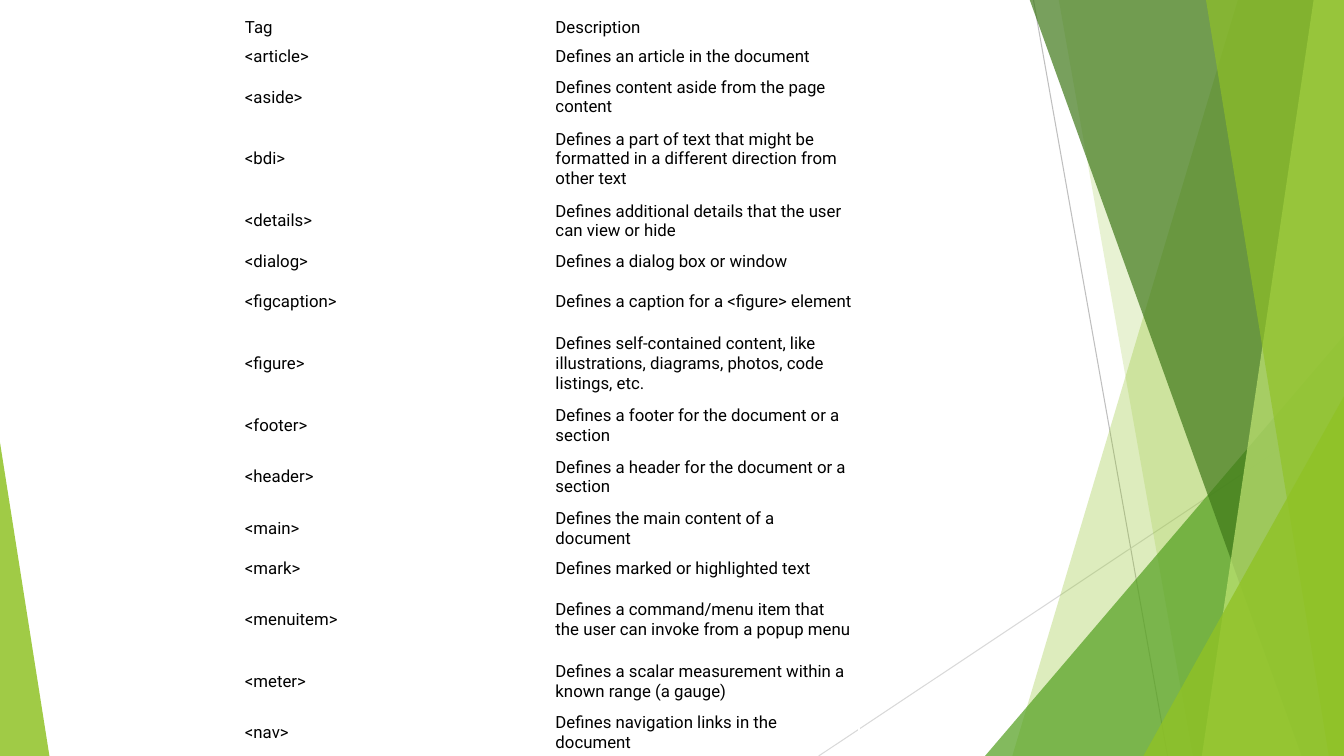
from lxml import etree
from pptx import Presentation
from pptx.dml.color import RGBColor
from pptx.enum.shapes import MSO_CONNECTOR, MSO_SHAPE
from pptx.enum.text import MSO_ANCHOR
from pptx.oxml.ns import qn
from pptx.util import Inches, Pt

BLACK = RGBColor(0x00, 0x00, 0x00)
GRAY = RGBColor(0xBF, 0xBF, 0xBF)
LIGHT_GRAY = RGBColor(0xD9, 0xD9, 0xD9)
GREEN = RGBColor(0x90, 0xC2, 0x26)
MID_GREEN = RGBColor(0x54, 0xA0, 0x21)
DARK_GREEN = RGBColor(0x3F, 0x78, 0x19)
PALE_GREEN = RGBColor(0xC0, 0xE4, 0x74)

W, H = 13.33, 7.5
TOP = -0.01


def paint(sp, color, opacity):
    """Fill with a see-through colour, without outline or shadow."""
    sp.shadow.inherit = False
    sp.fill.solid()
    sp.fill.fore_color.rgb = color
    sp.line.fill.background()
    clr = sp.fill._xPr.find(qn("a:solidFill"))[0]
    etree.SubElement(clr, qn("a:alpha"), val=str(opacity * 1000))


def add_triangle(left, top, width, apex, color, opacity):
    """Right triangle standing on the bottom edge of the slide."""
    sp = s.shapes.add_shape(MSO_SHAPE.ISOSCELES_TRIANGLE, Inches(left), Inches(top),
                            Inches(width), Inches(H - top))
    sp.adjustments[0] = apex
    paint(sp, color, opacity)


prs = Presentation()
prs.slide_width, prs.slide_height = Inches(W), Inches(H)
s = prs.slides.add_slide(prs.slide_layouts[6])

# Thin lines
for x1, y1, x2, y2, color in [(10.25, 0, 11.58, H, GRAY),
                              (W, 4.03, 8.12, H, LIGHT_GRAY)]:
    line = s.shapes.add_connector(MSO_CONNECTOR.STRAIGHT, Inches(x1), Inches(y1),
                                  Inches(x2), Inches(y2))
    line.line.color.rgb = color
    line.line.width = Pt(0.75)
    etree.SubElement(line._element.spPr, qn("a:effectLst"))

# Green bands reaching the right edge: top x, bottom x, colour, opacity
bands = [
    (12.28, 10.04, GREEN, 30),
    (10.5, 11.83, GREEN, 20),
    (10.21, 12.91, DARK_GREEN, 70),
    (13.03, 11.92, PALE_GREEN, 70),
    (11.96, 13.18, GREEN, 65),
]
for i, (top_x, bottom_x, color, opacity) in enumerate(bands):
    if i == 2:
        add_triangle(9.77, 3.33, 3.56, 1, MID_GREEN, 72)
    fb = s.shapes.build_freeform(Inches(top_x), Inches(TOP))
    fb.add_line_segments([(Inches(x), Inches(y)) for x, y in
                          [(W, TOP), (W, H), (bottom_x, H)]], close=True)
    paint(fb.convert_to_shape(), color, opacity)

# Front triangles in the bottom corners
add_triangle(11.34, 3.93, 1.99, 1, GREEN, 80)
add_triangle(0, 4.39, 0.49, 0, GREEN, 85)

# Table of tags: row height, tag, description
ONE, TWO, THREE = 0.29, 0.51, 0.72
rows = [
    (ONE, "Tag", "Description"),
    (ONE, "<article>", "Defines an article in the document"),
    (TWO, "<aside>", "Defines content aside from the page content"),
    (THREE, "<bdi>", "Defines a part of text that might be formatted in a different "
                     "direction from other text"),
    (TWO, "<details>", "Defines additional details that the user can view or hide"),
    (ONE, "<dialog>", "Defines a dialog box or window"),
    (TWO, "<figcaption>", "Defines a caption for a <figure> element"),
    (THREE, "<figure>", "Defines self-contained content, like illustrations, diagrams, "
                        "photos, code listings, etc."),
    (TWO, "<footer>", "Defines a footer for the document or a section"),
    (TWO, "<header>", "Defines a header for the document or a section"),
    (TWO, "<main>", "Defines the main content of a document"),
    (ONE, "<mark>", "Defines marked or highlighted text"),
    (THREE, "<menuitem>", "Defines a command/menu item that the user can invoke from "
                          "a popup menu"),
    (TWO, "<meter>", "Defines a scalar measurement within a known range (a gauge)"),
    (TWO, "<nav>", "Defines navigation links in the document"),
]
table = s.shapes.add_table(len(rows), 2, Inches(2.36), Inches(0.13),
                           Inches(6.16), Inches(7.37)).table
table.first_row = table.horz_banding = False
for row, (height, *texts) in zip(table.rows, rows):
    row.height = Inches(height)
    for cell, text in zip(row.cells, texts):
        cell.fill.background()
        cell.vertical_anchor = MSO_ANCHOR.MIDDLE
        cell.margin_left = cell.margin_right = Inches(0.07)
        cell.margin_top = cell.margin_bottom = Inches(0.03)
        cell.text = text
        font = cell.text_frame.paragraphs[0].font
        font.name, font.size = "Roboto", Pt(12)
        font.color.rgb = BLACK

prs.save("out.pptx")
